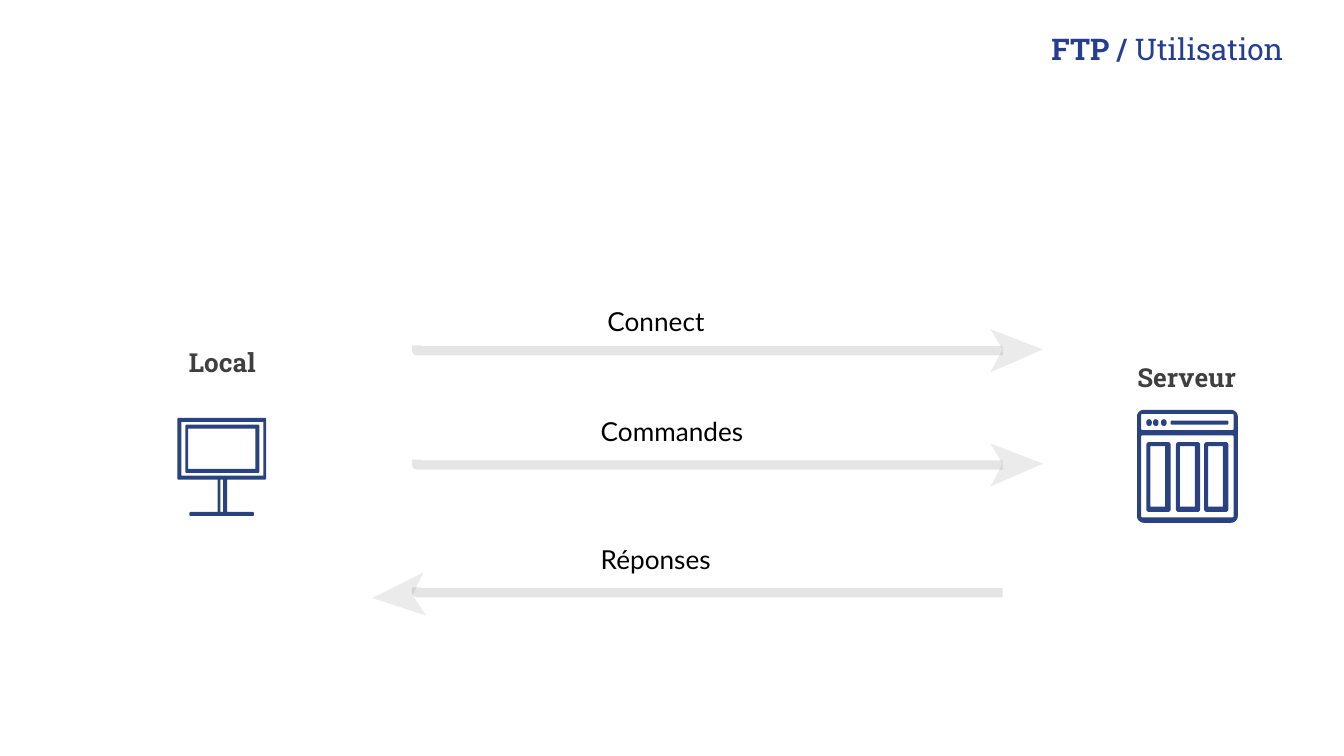
import math

import lxml.etree
import pptx
import pptx.dml.color
import pptx.enum.text
import pptx.oxml.ns
import pptx.util

PX = 9144  # EMU in one px, at 100 px to the inch
COLORS = {
    "background": "FFFFFF",
    "title": "263E92",
    "monitor": "2B4280",
    "server": "2B4281",
    "caption": "3F3F3F",
    "label": "000000",
    "shaft": "000000",
    "head": "EBEBEB",
}
# Arrowhead outlines, relative to the left top corner of the shaft
HEAD_RIGHT = [(466, 3), (427, 20), (436, 3), (427, -12)]
HEAD_LEFT = [(-33, 8), (5, -11), (-3, 6), (7, 21)]


def rgb(name):
    return pptx.dml.color.RGBColor.from_string(COLORS[name])


def set_box(shape, left, top, width, height):
    shape.left, shape.top = left * PX, top * PX
    shape.width, shape.height = width * PX, height * PX


def format_text(shape, alignment, font_name, size, color, bold=None):
    frame = shape.text_frame
    frame.word_wrap = True
    frame.auto_size = pptx.enum.text.MSO_AUTO_SIZE.SHAPE_TO_FIT_TEXT
    frame.vertical_anchor = pptx.enum.text.MSO_ANCHOR.TOP
    frame.margin_left = frame.margin_top = frame.margin_right = frame.margin_bottom = 0
    paragraph = frame.paragraphs[0]
    paragraph.alignment = alignment
    font = paragraph.font
    font.name, font.size, font.bold = font_name, pptx.util.Pt(size), bold
    font.color.rgb = rgb(color)
    return paragraph


def add_text(slide, text, box, alignment, font_name, color, bold=None):
    shape = slide.shapes.add_textbox(0, 0, 0, 0)
    set_box(shape, *box)
    shape.text_frame.text = text
    format_text(shape, alignment, font_name, 14, color, bold)


def add_outline(slide, contours, left, top, close=True):
    """Draw contours, relative to (left, top), as one freeform."""
    builder = None
    for contour in contours:
        points = [((left + x) * PX, (top + y) * PX) for x, y in contour]
        if builder is None:
            builder = slide.shapes.build_freeform(*points[0], scale=1.0)
        else:
            builder.move_to(*points[0])
        builder.add_line_segments(points[1:], close=close)
    shape = builder.convert_to_shape()
    shape.shadow.inherit = False
    return shape


def fill_outline(shape, color):
    shape.fill.solid()
    shape.fill.fore_color.rgb = rgb(color)
    shape.line.fill.background()


def rounded_contour(x, y, width, height, radius):
    if radius == 0:
        return [(x, y), (x + width, y), (x + width, y + height), (x, y + height)]
    centers = [
        (x + width - radius, y + height - radius),
        (x + radius, y + height - radius),
        (x + radius, y + radius),
        (x + width - radius, y + radius),
    ]
    points = []
    for quarter, (center_x, center_y) in enumerate(centers):
        for step in range(7):
            angle = math.radians(90 * quarter + 15 * step)
            points.append((center_x + radius * math.cos(angle),
                           center_y + radius * math.sin(angle)))
    return points


def add_icon(slide, parts, left, top, color):
    """Parts are (x, y, width, height, radius); nested parts cut holes."""
    contours = [rounded_contour(*part) for part in parts]
    fill_outline(add_outline(slide, contours, left, top), color)


def add_title(slide, left, top, width, height):
    title = slide.shapes.title
    set_box(title, left, top, width, height)
    paragraph = format_text(title, pptx.enum.text.PP_ALIGN.RIGHT,
                            "Roboto Slab", 16, "title")
    paragraph.line_spacing = 0.7
    for text, bold in (("FTP / ", True), ("Utilisation", False)):
        run = paragraph.add_run()
        run.text = text
        run.font.bold = bold


def add_monitor(slide, left, top):
    parts = [
        (0, 0, 66, 46, 1), (3, 3, 61, 40, 0),    # bezel
        (6, 5, 55, 36, 1), (8, 8, 50, 30, 0),    # screen
        (30, 46, 7, 24, 0), (32, 46, 2, 24, 0),  # neck
        (9, 70, 48, 3, 1),                       # foot
    ]
    add_icon(slide, parts, left, top, "monitor")


def add_server(slide, left, top):
    parts = [
        (0, 0, 75, 84, 5), (3, 3, 69, 12, 1), (3, 19, 69, 61, 1),  # window
        (25, 8, 43, 3, 1),                                         # address bar
    ]
    parts += [(x, 7, 4, 5, 2) for x in (7, 12, 18)]  # buttons
    for x in (7, 29, 50):                            # columns
        parts += [(x, 24, 18, 52, 2), (x + 3, 27, 11, 45, 0)]
    add_icon(slide, parts, left, top, "server")


def add_message(slide, text, left, top, head, label_x, label_y, label_width):
    """Arrow whose shaft starts at (left, top), with its label above."""
    fill_outline(add_outline(slide, [head], left, top), "head")

    shaft = add_outline(slide, [[(436, 4), (0, 4), (0, 0)]], left, top, close=False)
    shaft.fill.background()
    shaft.line.width = pptx.util.Pt(5)
    shaft.line.color.rgb = rgb("shaft")
    line = shaft._element.spPr.find(pptx.oxml.ns.qn("a:ln"))
    color = line.find(".//" + pptx.oxml.ns.qn("a:srgbClr"))
    lxml.etree.SubElement(color, pptx.oxml.ns.qn("a:alpha"), val="9000")

    add_text(slide, text, (left + label_x, top + label_y, label_width, 24),
             pptx.enum.text.PP_ALIGN.LEFT, "Lato", "label")


def main():
    presentation = pptx.Presentation()
    presentation.slide_width = 1000 * PX
    presentation.slide_height = presentation.slide_width * 9 // 16
    slide = presentation.slides.add_slide(presentation.slide_layouts[5])
    slide.background.fill.solid()
    slide.background.fill.fore_color.rgb = rgb("background")

    add_title(slide, 500, 30, 455, 19)

    # The two machines and their captions
    add_monitor(slide, 132, 311)
    add_server(slide, 846, 305)
    for text, box in (("Local", (55, 258, 221, 24)), ("Serveur", (815, 269, 136, 24))):
        add_text(slide, text, box, pptx.enum.text.PP_ALIGN.CENTER,
                 "Roboto Slab", "caption", True)

    # The exchange between them
    add_message(slide, "Connect", 310, 257, HEAD_RIGHT, 142, -30, 96)
    add_message(slide, "Commandes", 310, 342, HEAD_RIGHT, 137, -33, 136)
    add_message(slide, "Réponses", 310, 437, HEAD_LEFT, 137, -33, 136)

    presentation.save("out.pptx")


if __name__ == "__main__":
    main()
